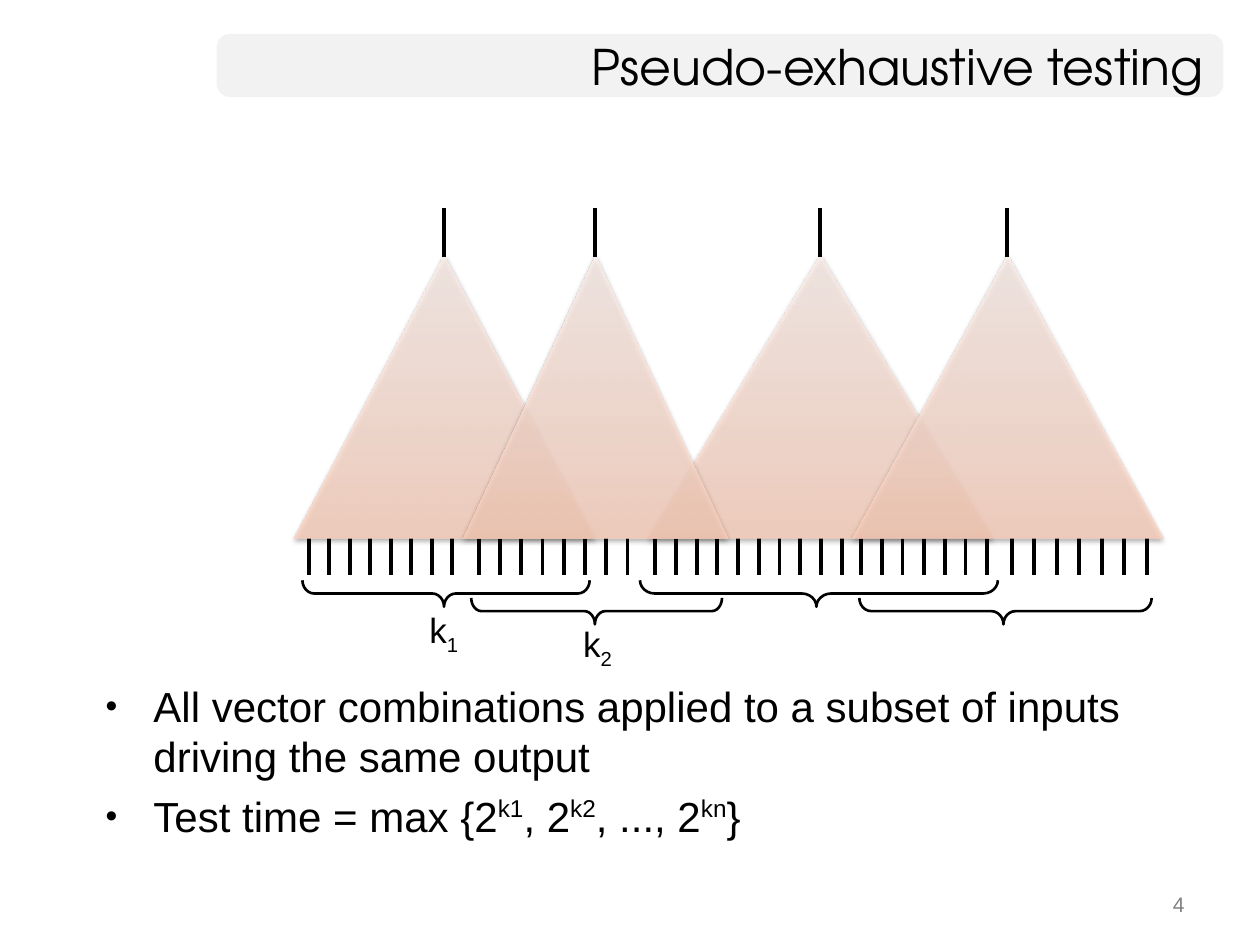
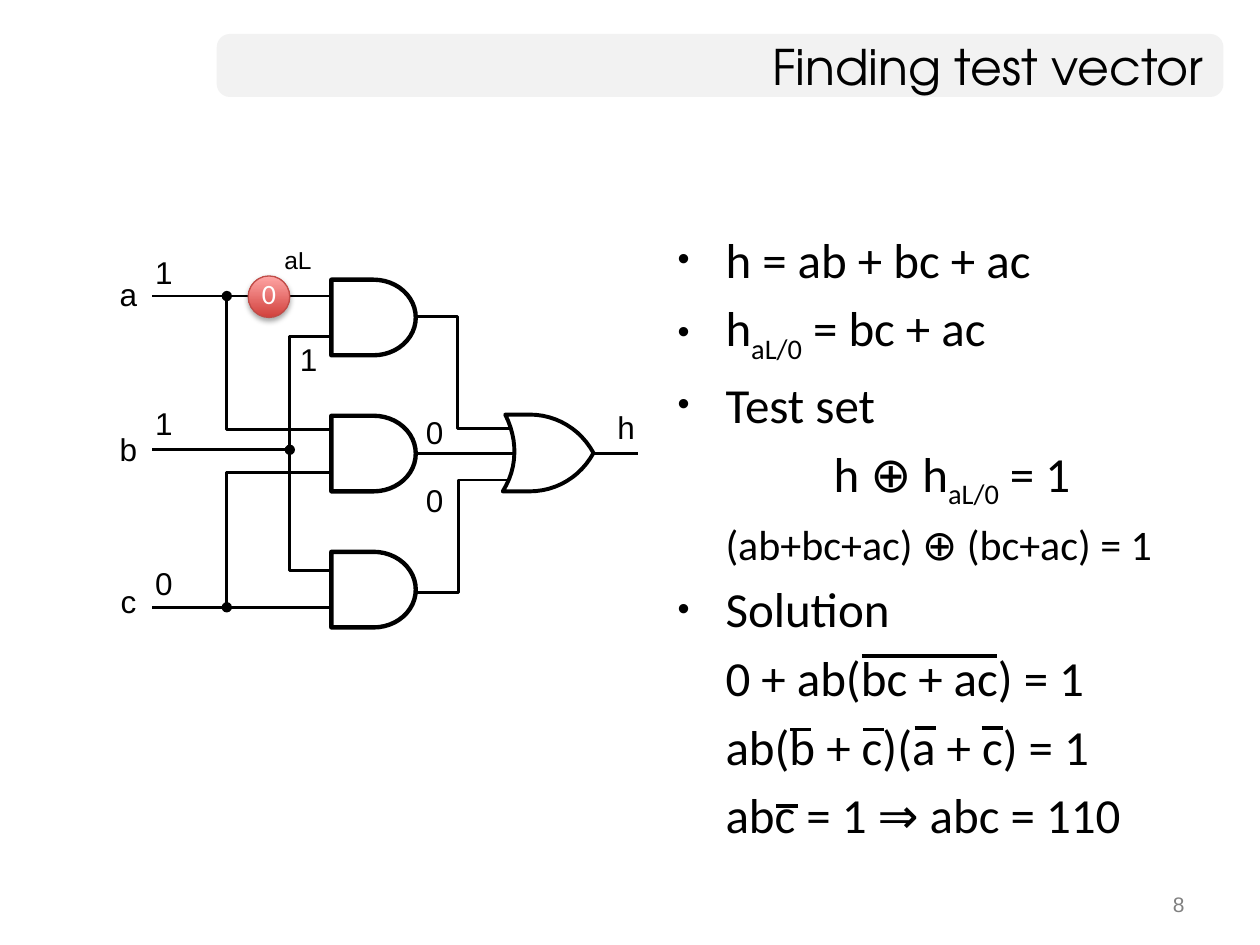
from dataclasses import dataclass

from lxml import etree
from pptx import Presentation
from pptx.dml.color import RGBColor
from pptx.enum.shapes import MSO_CONNECTOR, MSO_SHAPE
from pptx.enum.text import MSO_ANCHOR, MSO_AUTO_SIZE, PP_ALIGN
from pptx.oxml.ns import qn
from pptx.util import Inches, Pt

STRAIGHT = MSO_CONNECTOR.STRAIGHT
BAND, CONE, BRACE = MSO_SHAPE.ROUNDED_RECTANGLE, MSO_SHAPE.ISOSCELES_TRIANGLE, MSO_SHAPE.LEFT_BRACE
AND_GATE, CIRCLE = MSO_SHAPE.FLOWCHART_DELAY, MSO_SHAPE.OVAL
MIDDLE, TOP = MSO_ANCHOR.MIDDLE, MSO_ANCHOR.TOP
LEFT, CENTER, RIGHT = PP_ALIGN.LEFT, PP_ALIGN.CENTER, PP_ALIGN.RIGHT
TITLE_ONLY = 5


@dataclass(frozen=True)
class Theme:
    black: str = "000000"
    white: str = "FFFFFF"
    band: str = "F2F2F2"
    number: str = "808080"
    cone: tuple = ((0, "FFD2BD"), (35, "FFDED0"), (100, "FFF2ED"))
    cone_opacity: int = 76
    fault: tuple = ((0, "D1403C"), (100, "FFA6A5"))
    fault_line: str = "BF4C48"
    title_font: str = "TeX Gyre Adventor"
    text_font: str = "Arial"
    formula_font: str = "Calibri"
    title_size: float = 28
    formula_size: float = 28
    body_size: float = 24
    cone_label_size: float = 20
    signal_size: float = 18
    fault_size: float = 16
    small_size: float = 14
    number_size: float = 12
    thin: float = 1.5
    thick: float = 2.25
    gate_line: float = 2.5


THEME = Theme()


# Text and formatting helpers
def set_font(font, name, size, color=THEME.black):
    font.name, font.size = name, Pt(size)
    font.color.rgb = RGBColor.from_string(color)


def add_runs(paragraph, text, baseline=0):
    """Every second part between bars is raised or lowered by baseline percent."""
    for index, part in enumerate(text.split("|")):
        run = paragraph.add_run()
        run.text = part
        if index % 2:
            run._r.get_or_add_rPr().set("baseline", str(baseline * 1000))


def set_indent(paragraph, margin, bullet_size=None):
    properties = paragraph._p.get_or_add_pPr()
    properties.set("marL", str(Inches(margin)))
    properties.set("indent", str(-Inches(margin) if bullet_size else 0))
    if bullet_size:
        etree.SubElement(properties, qn("a:buSzPct"), val=str(bullet_size * 1000))
        etree.SubElement(properties, qn("a:buFont"), typeface=THEME.text_font)
        etree.SubElement(properties, qn("a:buChar"), char="•")


def set_line(line, color, width, dot_at_start=False):
    line.color.rgb = RGBColor.from_string(color)
    line.width = Pt(width)
    if dot_at_start:
        etree.SubElement(line._get_or_add_ln(), qn("a:headEnd"), type="oval")


def set_glossy(shape, stops, opacity, shadow_opacity, shadow_distance):
    """Upward gradient with a soft shadow below."""
    properties = shape._element.spPr
    gradient = etree.Element(qn("a:gradFill"), rotWithShape="1")
    stop_list = etree.SubElement(gradient, qn("a:gsLst"))
    for position, color in stops:
        stop = etree.SubElement(stop_list, qn("a:gs"), pos=str(position * 1000))
        add_color(stop, color, opacity)
    etree.SubElement(gradient, qn("a:lin"), ang="16200000", scaled="0")
    properties.find(qn("a:prstGeom")).addnext(gradient)
    shadow = etree.SubElement(
        properties.find(qn("a:effectLst")), qn("a:outerShdw"), blurRad=str(Pt(3.1)),
        dist=str(Pt(shadow_distance)), dir="5400000", rotWithShape="0")
    add_color(shadow, THEME.black, shadow_opacity)


def add_color(parent, color, opacity):
    element = etree.SubElement(parent, qn("a:srgbClr"), val=color)
    if opacity < 100:
        etree.SubElement(element, qn("a:alpha"), val=str(opacity * 1000))


def bezier(start, first, second, end, steps=12):
    points = []
    for step in range(steps + 1):
        t = step / steps
        weights = ((1 - t) ** 3, 3 * t * (1 - t) ** 2, 3 * t * t * (1 - t), t ** 3)
        points.append(tuple(sum(w * p[axis] for w, p in zip(weights, (start, first, second, end)))
                            for axis in (0, 1)))
    return points


@dataclass
class Region:
    """A box on a slide; parts are placed in inches from its top left corner."""
    slide: object
    left: float
    top: float
    width: float
    height: float

    def place(self, x, y):
        return Inches(self.left + x), Inches(self.top + y)

    def shape(self, kind, x, y, width, height, fill=None):
        shape = self.slide.shapes.add_shape(kind, *self.place(x, y), Inches(width), Inches(height))
        shape.shadow.inherit = False
        if fill:
            shape.fill.solid()
            shape.fill.fore_color.rgb = RGBColor.from_string(fill)
        return shape

    def line(self, start, end, width, dot_at_start=False):
        connector = self.slide.shapes.add_connector(STRAIGHT, *self.place(*start), *self.place(*end))
        set_line(connector.line, THEME.black, width, dot_at_start)
        etree.SubElement(connector._element.spPr, qn("a:effectLst"))

    def outline(self, points, width, fill=None, dot_at_start=False):
        places = [self.place(*point) for point in points]
        builder = self.slide.shapes.build_freeform(*places[0])
        builder.add_line_segments(places[1:], close=fill is not None)
        shape = builder.convert_to_shape()
        shape.shadow.inherit = False
        if fill:
            shape.fill.solid()
            shape.fill.fore_color.rgb = RGBColor.from_string(fill)
        else:
            shape.fill.background()
        set_line(shape.line, THEME.black, width, dot_at_start)

    def text_frame(self, x, y, width, height, anchor=TOP, wrap=True):
        frame = self.slide.shapes.add_textbox(
            *self.place(x, y), Inches(width), Inches(height)).text_frame
        frame.word_wrap, frame.vertical_anchor = wrap, anchor
        return frame

    def label(self, text, x, y, width, height, size, color=THEME.black, align=CENTER,
              anchor=MIDDLE, wrap=False, baseline=0):
        paragraph = self.text_frame(x, y, width, height, anchor, wrap).paragraphs[0]
        paragraph.alignment = align
        add_runs(paragraph, text, baseline)
        set_font(paragraph.font, THEME.text_font, size, color)


# Shared frame: band, title and page number
def add_titled_slide(presentation, title_text, number):
    slide = presentation.slides.add_slide(presentation.slide_layouts[TITLE_ONLY])
    page = Region(slide, 0, 0, 10, 7.5)
    title = slide.shapes.title
    band = page.shape(BAND, 1.72, 0.27, 7.99, 0.5, THEME.band)
    band.adjustments[0] = 0.21
    band.line.fill.background()
    title.element.addprevious(band.element)

    title.left, title.top, title.width, title.height = map(Inches, (1.72, 0.27, 7.93, 0.5))
    frame = title.text_frame
    frame.text = title_text
    frame.auto_size, frame.vertical_anchor = MSO_AUTO_SIZE.NONE, MIDDLE
    frame.paragraphs[0].alignment = RIGHT
    set_font(frame.paragraphs[0].font, THEME.title_font, THEME.title_size)

    page.label(str(number), 7.17, 7, 2.33, 0.35, THEME.number_size, THEME.number,
               align=RIGHT, wrap=True)
    return slide


# Slide 1: cones of logic over their inputs
def add_cone_diagram(region):
    input_groups = ((0.12, 1.26, 8), (1.47, 2.65, 8), (2.87, 4.35, 10), (4.5, 5.5, 7), (5.7, 6.77, 7))
    for first, last, count in input_groups:
        for index in range(count):
            x = first + index * (last - first) / (count - 1)
            region.line((x, 2.91), (x, 2.62), THEME.thick)

    cones = ((2.81, 2.74), (0, 2.39), (1.34, 2.11), (4.43, 2.47))
    for left, width in cones:
        cone = region.shape(CONE, left, 0.37, width, 2.25)
        cone.line.fill.background()
        set_glossy(cone, THEME.cone, THEME.cone_opacity, 38, 1.6)
    for left, width in cones:
        apex = left + width / 2
        region.line((apex, 0.39), (apex, 0), THEME.thick)

    braces = ((0.07, 2.28), (1.41, 1.99), (2.75, 2.84), (4.49, 2.32))
    thickness = 0.21
    for index, (left, length) in enumerate(braces):
        # The brace is turned about its centre, so its upright box is shifted
        center_x, center_y = left + length / 2, 3.06 + 0.14 * (index % 2)
        brace = region.shape(BRACE, center_x - thickness / 2, center_y - length / 2, thickness, length)
        brace.rotation = 270
        brace.adjustments[0], brace.adjustments[1] = 0.196 * length, 0.493
        brace.fill.background()
        set_line(brace.line, THEME.black, THEME.thin)

    for text, x, y in (("k|1|", 0.98, 3.13), ("k|2|", 2.2, 3.24)):
        region.label(text.rstrip("|"), x, y, 0.5, 0.44, THEME.cone_label_size, align=LEFT,
                     anchor=TOP, wrap=True, baseline=-25)


def add_bullets(region):
    frame = region.text_frame(0, 0, region.width, region.height)
    items = ("All vector combinations applied to a subset of inputs driving the same output",
             "Test time = max {2|k1|, 2|k2|, ..., 2|kn|}")
    for index, text in enumerate(items):
        paragraph = frame.add_paragraph() if index else frame.paragraphs[0]
        set_indent(paragraph, 0.38, bullet_size=80)
        if index:
            paragraph.space_before = Pt(5.5)
        add_runs(paragraph, text, 36)
        set_font(paragraph.font, THEME.text_font, THEME.body_size)


# Slide 2: gate circuit with a stuck-at fault
def add_or_gate(region, x, y):
    height = 0.61
    back = bezier((0, height), (0.12, 0.42), (0.12, 0.2), (0.02, 0))
    upper = bezier((0.21, 0), (0.43, 0), (0.62, 0.12), (0.72, height / 2))
    lower = [(px, height - py) for px, py in reversed(upper)]
    points = back + upper + lower[1:]
    region.outline([(x + px, y + py) for px, py in points], THEME.thick, THEME.white)


def add_circuit(region):
    # Wires; the last value marks a junction dot at the start
    bent_wires = (
        (((1.95, 0.78), (1.45, 0.78), (1.45, 2.64), (2.03, 2.64)), False),
        (((2.29, 2.81), (2.79, 2.81), (2.79, 1.92), (3.37, 1.92)), False),
        (((2.28, 0.62), (2.78, 0.62), (2.78, 1.51), (3.36, 1.51)), False),
        (((0.95, 2.93), (0.95, 1.86), (2.03, 1.86)), True),
        (((0.95, 0.46), (0.95, 1.52), (2.03, 1.52)), True))
    for points, dotted in bent_wires:
        region.outline(points, THEME.thin, dot_at_start=dotted)
    straight_wires = (((2.04, 1.71), (4.21, 1.71), False), ((0.36, 0.46), (1.86, 0.46), False),
                      ((0.36, 2.93), (1.86, 2.93), False), ((1.45, 1.68), (0.36, 1.68), True))
    for start, end, dotted in straight_wires:
        region.line(start, end, THEME.thin, dotted)

    # Gates
    for row in range(3):
        gate = region.shape(AND_GATE, 1.78, 0.33 + 1.08 * row, 0.67, 0.6, THEME.white)
        set_line(gate.line, THEME.black, THEME.gate_line)
    add_or_gate(region, 3.14, 1.4)

    # Signal names and values
    signals = (("a", 0, 0.24), ("b", 0, 1.47), ("c", 0, 2.68), ("h", 3.95, 1.3),
               ("1", 0.28, 0.07), ("1", 0.28, 1.27), ("0", 0.28, 2.54),
               ("1", 1.43, 0.76), ("0", 2.43, 1.34), ("0", 2.43, 1.88))
    for text, x, y in signals:
        region.label(text, x, y, 0.34, 0.4, THEME.signal_size)
    region.label("aL", 1.3, 0, 0.43, 0.34, THEME.small_size)

    # Fault marker
    fault = region.shape(CIRCLE, 1.12, 0.3, 0.33, 0.33)
    set_glossy(fault, THEME.fault, 100, 35, 1.8)
    set_line(fault.line, THEME.fault_line, 0.75)
    frame = fault.text_frame
    frame.margin_left = frame.margin_top = frame.margin_right = 0
    frame.margin_bottom, frame.vertical_anchor = Inches(0.05), MIDDLE
    frame.text = "0"
    frame.paragraphs[0].alignment = CENTER
    set_font(frame.paragraphs[0].font, THEME.formula_font, THEME.fault_size, THEME.white)


def add_derivation(region):
    frame = region.text_frame(0, 0, region.width, region.height)
    bulleted, centered, continued = (0.38, 70, LEFT), (0, None, CENTER), (0.38, None, LEFT)
    big, small = THEME.formula_size, THEME.body_size
    steps = (("h = ab + bc + ac", bulleted, big), ("h|aL/0| = bc + ac", bulleted, big),
             ("Test set", bulleted, big), ("h ⊕ h|aL/0| = 1", centered, big),
             ("(ab+bc+ac) ⊕ (bc+ac) = 1", continued, small), ("Solution", bulleted, big),
             ("0 + ab(bc + ac) = 1", continued, big), ("ab(b + c)(a + c) = 1", continued, big),
             ("abc = 1 ⇒ abc = 110", continued, big))
    for index, (text, (margin, bullet_size, align), size) in enumerate(steps):
        paragraph = frame.add_paragraph() if index else frame.paragraphs[0]
        set_indent(paragraph, margin, bullet_size)
        paragraph.alignment = align
        if index:
            paragraph.space_before = Pt(0.2 * size)
        add_runs(paragraph, text, -25)
        set_font(paragraph.font, THEME.formula_font, size)

    # Negation bars
    negations = ((1.56, 3.44, 1.07), (0.99, 4.02, 0.17), (1.57, 4.02, 0.17),
                 (1.98, 4.01, 0.17), (2.51, 4.01, 0.17), (0.88, 4.63, 0.17))
    for x, y, length in negations:
        region.line((x, y), (x + length, y), THEME.thick)


def main():
    presentation = Presentation()
    presentation.slide_width, presentation.slide_height = Inches(10), Inches(7.5)

    slide = add_titled_slide(presentation, "Pseudo-exhaustive testing", 4)
    add_bullets(Region(slide, 0.74, 5.35, 9, 1.64))
    add_cone_diagram(Region(slide, 2.33, 1.65, 6.9, 3.68))

    slide = add_titled_slide(presentation, "Finding test vector", 8)
    add_derivation(Region(slide, 5.28, 1.77, 4.55, 5.1))
    add_circuit(Region(slide, 0.85, 1.89, 4.29, 3.1))

    presentation.save("out.pptx")


if __name__ == "__main__":
    main()
